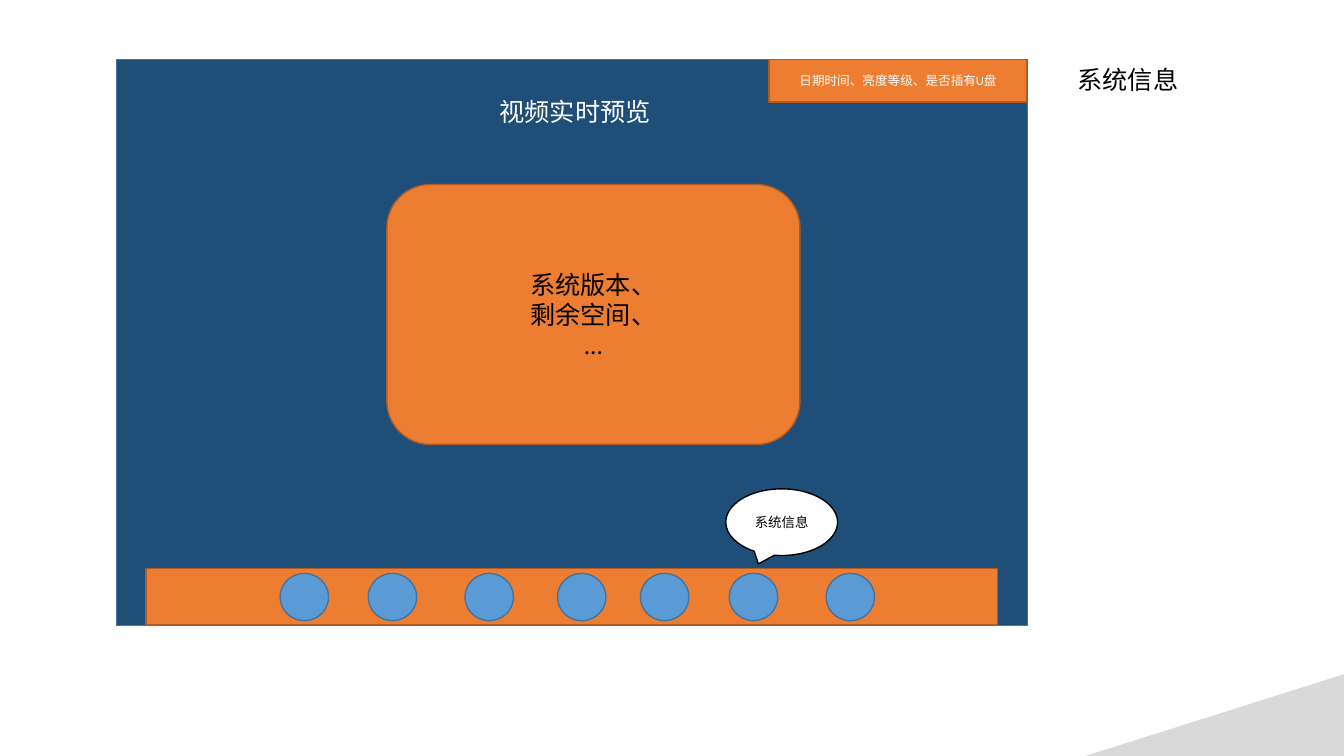
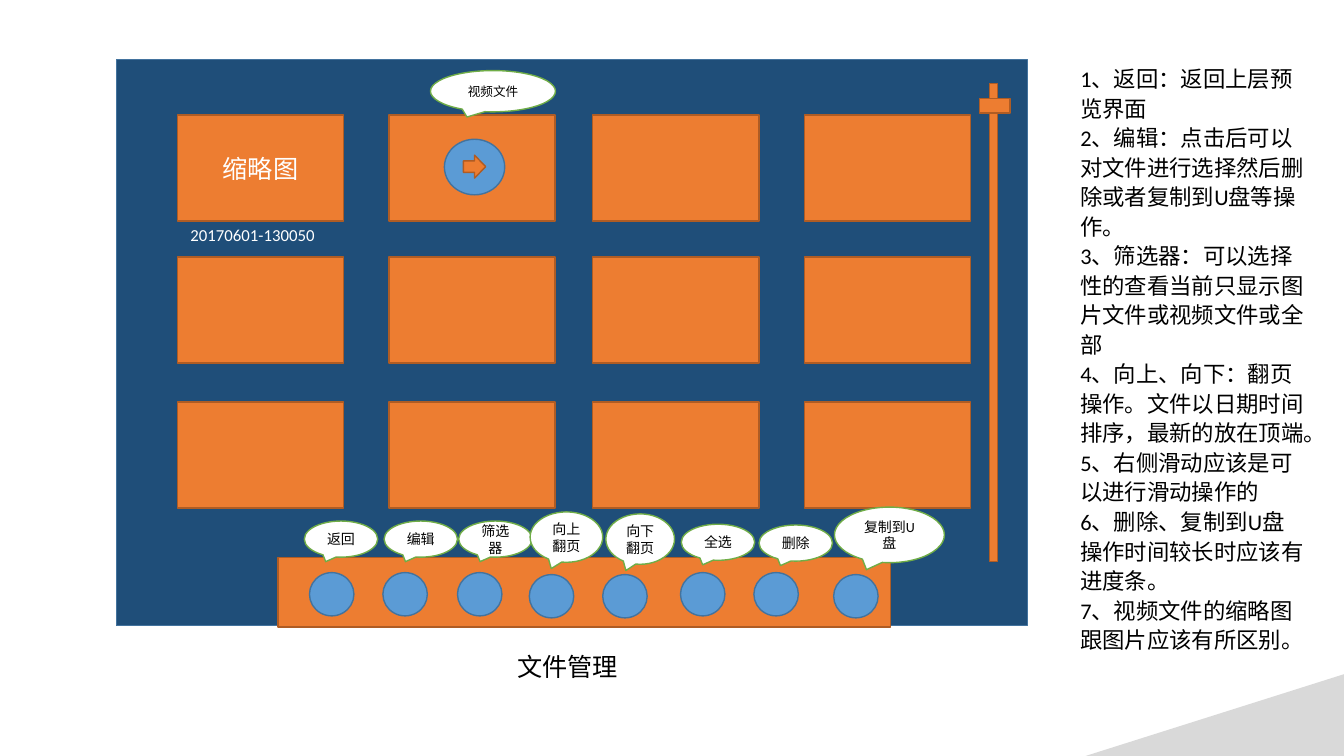
from pptx import Presentation
from pptx.dml.color import RGBColor
from pptx.enum.shapes import MSO_SHAPE
from pptx.enum.text import MSO_ANCHOR, MSO_AUTO_SIZE, PP_ALIGN
from pptx.oxml.ns import qn
from pptx.util import Cm, Pt

RECT, ROUND = MSO_SHAPE.RECTANGLE, MSO_SHAPE.ROUNDED_RECTANGLE
OVAL, CALLOUT = MSO_SHAPE.OVAL, MSO_SHAPE.OVAL_CALLOUT
ARROW, TRIANGLE = MSO_SHAPE.RIGHT_ARROW, MSO_SHAPE.RIGHT_TRIANGLE
TOP, MIDDLE = MSO_ANCHOR.TOP, MSO_ANCHOR.MIDDLE
LEFT, CENTER = PP_ALIGN.LEFT, PP_ALIGN.CENTER
NO_FIT = MSO_AUTO_SIZE.NONE

FONT = "Calibri"
BLACK, WHITE = "000000", "FFFFFF"
NAVY = ("1F4E79", "43739E")
BLUE = ("5B9BD5", "43739E")
ORANGE = ("ED7D31", "AF5C24")
BLACK_EDGE = (WHITE, BLACK)
GREEN_EDGE = (WHITE, "70AD47")
GREY = ("D9D9D9", None)


def add_box(s, kind, at, style):
    sp = s.shapes.add_shape(kind, *map(Cm, at))
    sp.shadow.inherit = False
    fill, line = style
    sp.fill.solid()
    sp.fill.fore_color.rgb = RGBColor.from_string(fill)
    if line:
        sp.line.color.rgb = RGBColor.from_string(line)
        sp.line.width = Pt(1)
    else:
        sp.line.fill.background()
    return sp


def write(sp, lines, size, color, align=CENTER, anchor=MIDDLE, spacing=1.0):
    tf = sp.text_frame
    tf.text = "\n".join(lines)
    frame_format = {"word_wrap": True, "auto_size": NO_FIT, "vertical_anchor": anchor}
    for name, value in frame_format.items():
        setattr(tf, name, value)
    para_format = {"alignment": align, "line_spacing": spacing, "space_before": Pt(0)}
    for p in tf.paragraphs:
        for name, value in para_format.items():
            setattr(p, name, value)
        for r in p.runs:
            for name, value in {"name": FONT, "size": Pt(size), "bold": False}.items():
                setattr(r.font, name, value)
            r.font.color.rgb = RGBColor.from_string(color)


prs = Presentation()
prs.slide_width, prs.slide_height = Cm(33.87), Cm(19.05)

pages = [
    (5, "系统信息", (26.9, 1.5, 3.23, 1.02)),
    (1, "文件管理", (12.78, 16.28, 3.28, 1.02)),
]
for layout, title, at in pages:
    s = prs.slides.add_slide(prs.slide_layouts[layout])
    sp = s.shapes.title
    sp.left, sp.top, sp.width, sp.height = map(Cm, at)
    write(sp, [title], 18, BLACK, LEFT, TOP)
    add_box(s, RECT, (2.93, 1.5, 22.96, 14.27), NAVY)
    sp = add_box(s, TRIANGLE, (27.36, 16.99, 6.51, 2.06), GREY)
    sp._element.spPr.find(qn("a:xfrm")).set("flipH", "1")

preview, files = prs.slides

sp = preview.shapes.add_textbox(Cm(12.34), Cm(2.31), Cm(4.6), Cm(1.02))
write(sp, ["视频实时预览"], 18, WHITE, LEFT, TOP)
add_box(preview, RECT, (3.68, 14.33, 21.46, 1.42), ORANGE)
for x in (7.06, 9.28, 11.72, 14.05, 16.14, 18.38, 20.82):
    add_box(preview, OVAL, (x, 14.45, 1.22, 1.19), BLUE)
sp = add_box(preview, CALLOUT, (18.29, 12.32, 2.82, 1.68), BLACK_EDGE)
write(sp, ["系统信息"], 9.6, BLACK)
sp = add_box(preview, ROUND, (9.75, 4.65, 10.41, 6.55), ORANGE)
write(sp, ["系统版本、", "剩余空间、", "..."], 18, BLACK)
sp = add_box(preview, RECT, (19.38, 1.5, 6.5, 1.07), ORANGE)
write(sp, ["日期时间、亮度等级、是否插有U盘"], 9, WHITE)

for y in (2.9, 6.48, 10.13):
    for x in (4.47, 9.8, 14.94, 20.27):
        sp = add_box(files, RECT, (x, y, 4.19, 2.67), ORANGE)
        if (x, y) == (4.47, 2.9):
            write(sp, ["缩略图"], 18, WHITE)
sp = files.shapes.add_textbox(Cm(4.55), Cm(5.54), Cm(4.04), Cm(0.76))
write(sp, ["20170601-130050"], 12, WHITE, LEFT, TOP)

add_box(files, RECT, (7.01, 14.05, 15.44, 1.75), ORANGE)
buttons = [
    ("返回", 7.8, 14.43, (7.67, 13.13, 1.85, 0.91)),
    ("编辑", 9.65, 14.43, (9.68, 13.13, 1.85, 0.91)),
    ("筛选器", 11.53, 14.43, (11.56, 13.13, 1.85, 0.91)),
    ("向上翻页", 13.34, 14.48, (13.36, 12.9, 1.83, 1.27)),
    ("向下翻页", 15.19, 14.48, (15.27, 12.95, 1.73, 1.27)),
    ("全选", 17.15, 14.43, (17.17, 13.21, 1.85, 0.91)),
    ("删除", 19, 14.43, (19.13, 13.23, 1.85, 0.91)),
    ("复制到U盘", 21.01, 14.48, (21.03, 12.78, 2.77, 1.4)),
]
for label, x, y, at in buttons:
    add_box(files, OVAL, (x, y, 1.12, 1.09), BLUE)
    sp = add_box(files, CALLOUT, at, GREEN_EDGE)
    write(sp, [label], 10, BLACK)

add_box(files, RECT, (24.94, 2.11, 0.2, 12.04), ORANGE)
add_box(files, RECT, (24.69, 2.49, 0.76, 0.36), ORANGE)
add_box(files, OVAL, (11.2, 3.51, 1.52, 1.4), BLUE)
add_box(files, ARROW, (11.68, 3.91, 0.56, 0.58), ORANGE)
sp = add_box(files, CALLOUT, (10.85, 1.78, 3.15, 1.04), GREEN_EDGE)
write(sp, ["视频文件"], 9, BLACK)

notes = [
    "1、返回：返回上层预览界面",
    "2、编辑：点击后可以对文件进行选择然后删除或者复制到U盘等操作。",
    "3、筛选器：可以选择性的查看当前只显示图片文件或视频文件或全部",
    "4、向上、向下：翻页操作。文件以日期时间排序，最新的放在顶端。",
    "5、右侧滑动应该是可以进行滑动操作的",
    "6、删除、复制到U盘操作时间较长时应该有进度条。",
    "7、视频文件的缩略图跟图片应该有所区别。",
]
sp = files.placeholders[1]
sp.left, sp.top, sp.width, sp.height = map(Cm, (26.97, 1.45, 6.2, 15.14))
write(sp, notes, 16, BLACK, LEFT, TOP, 1.1)
for p in sp.text_frame.paragraphs:
    pPr = p._p.get_or_add_pPr()
    pPr.set("marL", "0")
    pPr.set("indent", "0")
    pPr.append(pPr.makeelement(qn("a:buNone"), {}))

prs.save("out.pptx")
